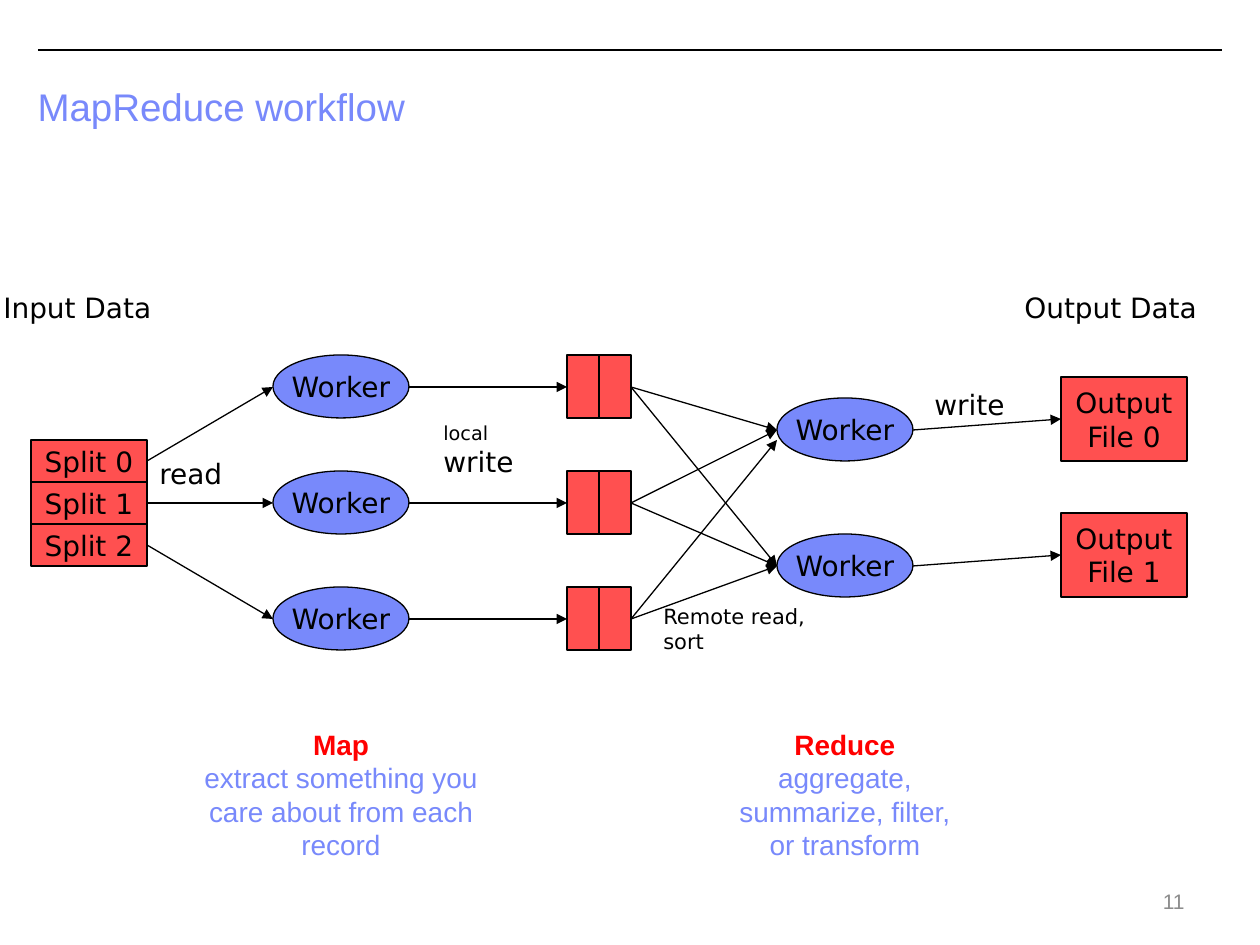
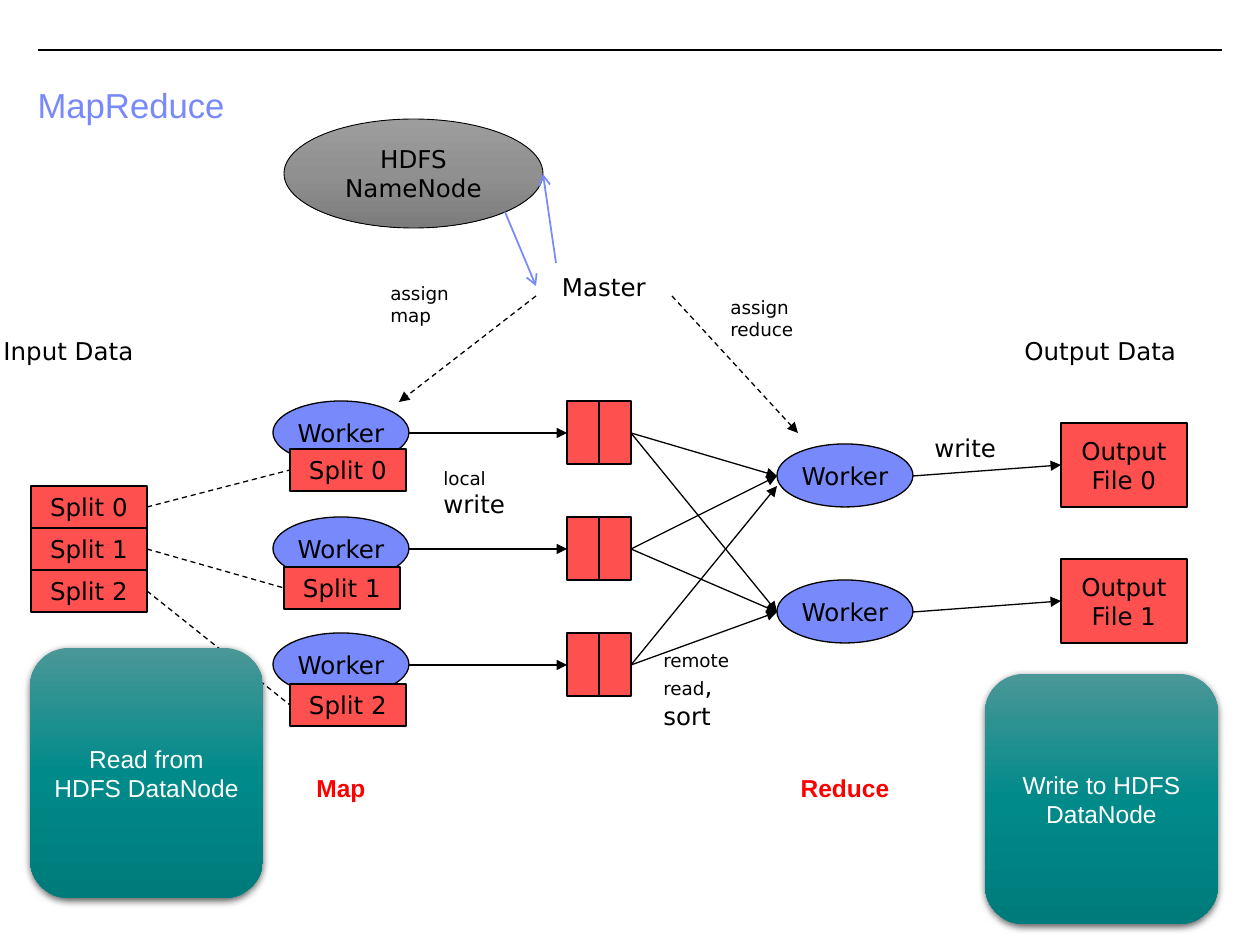
from copy import deepcopy
from dataclasses import dataclass, replace
from typing import Optional

from lxml.etree import SubElement
from pptx import Presentation
from pptx.dml.color import RGBColor
from pptx.enum.dml import MSO_LINE
from pptx.enum.shapes import MSO_CONNECTOR, MSO_SHAPE
from pptx.enum.text import MSO_ANCHOR, MSO_AUTO_SIZE, PP_ALIGN
from pptx.oxml.ns import qn
from pptx.shapes.autoshape import Shape
from pptx.shapes.connector import Connector
from pptx.slide import Slide
from pptx.text.text import TextFrame
from pptx.util import Emu, Pt

PX_PER_INCH = 126


@dataclass(frozen=True)
class Theme:
    black: str = "000000"
    white: str = "FFFFFF"
    blue: str = "7889FB"
    red: str = "FF5050"
    phase_red: str = "FF0000"
    page_gray: str = "8C8C8C"
    gray_gradient: tuple[str, ...] = ("9D9D9D", "909090", "7C7C7C")
    teal_gradient: tuple[str, ...] = ("4B9797", "008A8A", "007B7B")
    sans: str = "Arial"
    diagram_font: str = "DejaVu Sans"
    title_size: float = 22
    small_title_size: float = 19.8
    body_size: float = 16
    small_body_size: float = 14
    note_size: float = 12
    hint_size: float = 11
    small_hint_size: float = 10.5
    thin_line: float = 0.75


THEME = Theme()


@dataclass(frozen=True)
class Box:
    left: int
    top: int
    width: int
    height: int

    @property
    def right(self) -> int:
        return self.left + self.width

    @property
    def middle(self) -> int:
        return self.top + (self.height + 1) // 2

    def column(self, count: int, step: int) -> list["Box"]:
        return [replace(self, top=self.top + index * step) for index in range(count)]


@dataclass(frozen=True)
class TextStyle:
    size: float
    font: str = THEME.diagram_font
    color: str = THEME.black
    bold: bool = False


@dataclass(frozen=True)
class Span:
    text: str
    style: TextStyle


Paragraphs = list[list[Span]]


@dataclass(frozen=True)
class Workflow:
    """Boxes of the diagram, all moved down by one shift."""
    shift: int
    body: TextStyle
    hint: TextStyle

    def box(self, left: int, top: int, width: int, height: int) -> Box:
        return Box(left, top + self.shift, width, height)

    @property
    def splits(self) -> list[Box]:
        return self.box(31, 440, 116, 42).column(3, 42)

    @property
    def mappers(self) -> list[Box]:
        return self.box(273, 355, 136, 63).column(3, 116)

    @property
    def buffers(self) -> list[Box]:
        return self.box(567, 355, 32, 63).column(3, 116)

    @property
    def reducers(self) -> list[Box]:
        return self.box(777, 398, 136, 63).column(2, 136)

    @property
    def outputs(self) -> list[Box]:
        return self.box(1061, 377, 126, 84).column(2, 136)

    def label_box(self, left: int, top: int, text_width: int) -> Box:
        """Box whose width follows the type size; text_width holds at full size."""
        width = 25 + round(text_width * self.body.size / THEME.body_size)
        return self.box(left, top, width, 47)


def px(length: int) -> Emu:
    return Emu(round(length * 914400 / PX_PER_INCH))


def rgb(color: str) -> RGBColor:
    return RGBColor.from_string(color)


def lines(text: str, style: TextStyle) -> Paragraphs:
    return [[Span(line, style)] for line in text.split("\n")]


def set_text(frame: TextFrame, paragraphs: Paragraphs, align: PP_ALIGN) -> None:
    frame.text = "\n".join("" for _ in paragraphs)
    for paragraph, spans in zip(frame.paragraphs, paragraphs):
        paragraph.alignment = align
        for span in spans:
            run = paragraph.add_run()
            run.text = span.text
            run.font.size = Pt(span.style.size)
            run.font.name = span.style.font
            run.font.bold = span.style.bold
            run.font.color.rgb = rgb(span.style.color)


def place(box: Box) -> tuple[Emu, Emu, Emu, Emu]:
    return px(box.left), px(box.top), px(box.width), px(box.height)


def add_label(slide: Slide, box: Box, paragraphs: Paragraphs,
              align: PP_ALIGN = PP_ALIGN.LEFT, wrap: bool = False) -> None:
    frame = slide.shapes.add_textbox(*place(box)).text_frame
    frame.word_wrap = wrap
    frame.auto_size = MSO_AUTO_SIZE.SHAPE_TO_FIT_TEXT
    set_text(frame, paragraphs, align)


def add_node(slide: Slide, kind: MSO_SHAPE, box: Box, fill: str | tuple[str, ...],
             paragraphs: Optional[Paragraphs] = None, line: Optional[str] = THEME.black,
             line_width: float = THEME.thin_line, wrap: bool = False) -> Shape:
    """Preset shape; several fill colours make a top-to-bottom gradient."""
    shape = slide.shapes.add_shape(kind, *place(box))
    shape.shadow.inherit = False
    if isinstance(fill, str):
        shape.fill.solid()
        shape.fill.fore_color.rgb = rgb(fill)
    else:
        shape.fill.gradient()
        shape.fill.gradient_angle = 270
        stop_list = shape.element.find(".//" + qn("a:gsLst"))
        stop_list.insert(1, deepcopy(stop_list[0]))
        for index, (stop, color) in enumerate(zip(shape.fill.gradient_stops, fill)):
            stop.position = index / 2
            stop.color.rgb = rgb(color)
    if line:
        shape.line.color.rgb = rgb(line)
        shape.line.width = Pt(line_width)
    else:
        shape.line.fill.background()
    if paragraphs:
        shape.text_frame.word_wrap = wrap
        shape.text_frame.vertical_anchor = MSO_ANCHOR.MIDDLE
        set_text(shape.text_frame, paragraphs, PP_ALIGN.CENTER)
    return shape


def add_line(slide: Slide, start: tuple[int, int], end: tuple[int, int],
             head: Optional[str] = "triangle", dashed: bool = False,
             color: str = THEME.black, width: float = THEME.thin_line) -> Connector:
    connector = slide.shapes.add_connector(
        MSO_CONNECTOR.STRAIGHT, *(px(value) for value in start + end))
    connector.line.color.rgb = rgb(color)
    connector.line.width = Pt(width)
    if dashed:
        connector.line.dash_style = MSO_LINE.DASH
    if head:
        outline = connector.element.find(".//" + qn("a:ln"))
        SubElement(outline, qn("a:tailEnd"), type=head)
    SubElement(connector.element.spPr, qn("a:effectLst"))
    return connector


def connect(slide: Slide, source: Box, target: Box, **options) -> None:
    """Line from the right side of one box to the left side of another."""
    add_line(slide, (source.right, source.middle), (target.left, target.middle), **options)


def add_soft_shadow(shape: Shape) -> None:
    effects = shape.element.spPr.find(qn("a:effectLst"))
    shadow = SubElement(effects, qn("a:outerShdw"), blurRad=str(Pt(4.5)), dist=str(Pt(1.5)),
                        dir="5400000", rotWithShape="0")
    color = SubElement(shadow, qn("a:srgbClr"), val=THEME.black)
    SubElement(color, qn("a:alpha"), val="63000")


def add_titled_slide(presentation: Presentation, title: str, size: float) -> Slide:
    slide = presentation.slides.add_slide(presentation.slide_layouts[5])
    placeholder = slide.shapes.title
    placeholder.left, placeholder.top, placeholder.width, placeholder.height = place(
        Box(25, 82, 1197, 63))
    frame = placeholder.text_frame
    frame.vertical_anchor = MSO_ANCHOR.TOP
    frame.auto_size = MSO_AUTO_SIZE.NONE
    set_text(frame, lines(title, TextStyle(size, THEME.sans, THEME.blue)), PP_ALIGN.LEFT)
    frame.paragraphs[0].line_spacing = 0.9
    add_line(slide, (38, 50), (1222, 50), head=None)
    return slide


def add_splits(slide: Slide, boxes: list[Box], style: TextStyle) -> None:
    for index, box in enumerate(boxes):
        add_node(slide, MSO_SHAPE.RECTANGLE, box, THEME.red, lines(f"Split {index}", style))


def draw_workflow(slide: Slide, flow: Workflow) -> None:
    for worker in flow.mappers + flow.reducers:
        add_node(slide, MSO_SHAPE.OVAL, worker, THEME.blue, lines("Worker", flow.body))
    add_splits(slide, flow.splits, flow.body)

    for mapper, buffer in zip(flow.mappers, flow.buffers):
        second_half = replace(buffer, left=buffer.right)
        for half in (buffer, second_half):
            add_node(slide, MSO_SHAPE.RECTANGLE, half, THEME.red)
        connect(slide, mapper, buffer)
        for reducer in flow.reducers:
            last_to_first = buffer == flow.buffers[-1] and reducer == flow.reducers[0]
            entry = reducer.middle + (10 if last_to_first else 0)
            add_line(slide, (second_half.right, buffer.middle), (reducer.left, entry))

    for index, (reducer, output) in enumerate(zip(flow.reducers, flow.outputs)):
        add_node(slide, MSO_SHAPE.RECTANGLE, output, THEME.red,
                 lines(f"Output\nFile {index}", flow.body))
        connect(slide, reducer, output)

    add_label(slide, flow.label_box(-9, 284, 154), lines("Input Data", flow.body))
    add_label(slide, flow.label_box(1012, 284, 175), lines("Output Data", flow.body))
    add_label(slide, flow.label_box(922, 381, 71), lines("write", flow.body))
    add_label(slide, flow.label_box(431, 415, 71),
              [[Span("local", flow.hint)], [Span("write", flow.body)]])


def add_phases(slide: Slide, flow: Workflow, map_note: str = "", reduce_note: str = "") -> None:
    heading = TextStyle(flow.body.size, THEME.sans, THEME.phase_red, bold=True)
    note_style = replace(heading, color=THEME.blue, bold=False)
    for name, note, left, width in (("Map", map_note, 173, 336),
                                    ("Reduce", reduce_note, 720, 250)):
        paragraphs = lines(name, heading) + (lines(note, note_style) if note else [])
        add_label(slide, flow.box(left, 721, width, 43 if not note else 149),
                  paragraphs, PP_ALIGN.CENTER, wrap=True)


def build_workflow_slide(presentation: Presentation) -> None:
    slide = add_titled_slide(presentation, "MapReduce workflow", THEME.title_size)
    flow = Workflow(0, TextStyle(THEME.body_size), TextStyle(THEME.hint_size))
    draw_workflow(slide, flow)
    for split, mapper in zip(flow.splits, flow.mappers):
        connect(slide, split, mapper)
    add_label(slide, flow.label_box(147, 450, 64), lines("read", flow.body))
    add_label(slide, flow.box(651, 597, 199, 64),
              lines("Remote read,\nsort", TextStyle(THEME.note_size)), wrap=True)
    add_phases(slide, flow, "extract something you care about from each record",
               "aggregate, summarize, filter, or transform")
    page_number = slide.shapes.add_textbox(*place(Box(903, 876, 294, 50))).text_frame
    page_number.vertical_anchor = MSO_ANCHOR.MIDDLE
    page_number.word_wrap = True
    set_text(page_number, lines("11", TextStyle(THEME.note_size, THEME.sans, THEME.page_gray)),
             PP_ALIGN.RIGHT)


def build_hdfs_slide(presentation: Presentation) -> None:
    slide = add_titled_slide(presentation, "MapReduce", THEME.small_title_size)
    flow = Workflow(46, TextStyle(THEME.small_body_size), TextStyle(THEME.small_hint_size))
    add_node(slide, MSO_SHAPE.OVAL, Box(536, 255, 136, 63), THEME.white,
             lines("Master", flow.body), line=THEME.white, line_width=0.5)
    add_line(slide, (536, 296), (399, 402), dashed=True)
    add_line(slide, (672, 296), (798, 433), dashed=True)
    add_label(slide, Box(378, 276, 87, 59), lines("assign\nmap", flow.hint))
    add_label(slide, Box(718, 290, 92, 59), lines("assign\nreduce", flow.hint))

    draw_workflow(slide, flow)
    local_splits = [Box(290, 449, 116, 42), Box(284, 567, 116, 42), Box(290, 684, 116, 42)]
    for split, local_split in zip(flow.splits, local_splits):
        connect(slide, split, local_split, head=None, dashed=True)
    add_splits(slide, local_splits, flow.body)
    add_label(slide, flow.box(651, 597, 92, 94),
              [[Span("remote", flow.hint)],
               [Span("read", flow.hint), Span(",", flow.body)],
               [Span("sort", flow.body)]])
    add_phases(slide, flow)

    add_node(slide, MSO_SHAPE.OVAL, Box(284, 119, 259, 109), THEME.gray_gradient,
             lines("HDFS\nNameNode", flow.body), line_width=0.5)
    for start, end in (((556, 263), (543, 174)), ((505, 212), (536, 286))):
        add_line(slide, start, end, head="arrow", color=THEME.blue, width=1)
    card_style = TextStyle(THEME.small_body_size, THEME.sans, THEME.white)
    for text, left, top in (("Read from HDFS DataNode", 30, 648),
                            ("Write to HDFS DataNode", 985, 674)):
        card = add_node(slide, MSO_SHAPE.ROUNDED_RECTANGLE, Box(left, top, 233, 250),
                        THEME.teal_gradient, lines(text, card_style), line=None, wrap=True)
        add_soft_shadow(card)


def main() -> None:
    presentation = Presentation()
    presentation.slide_width, presentation.slide_height = px(1260), px(945)
    build_workflow_slide(presentation)
    build_hdfs_slide(presentation)
    presentation.save("out.pptx")


if __name__ == "__main__":
    main()
